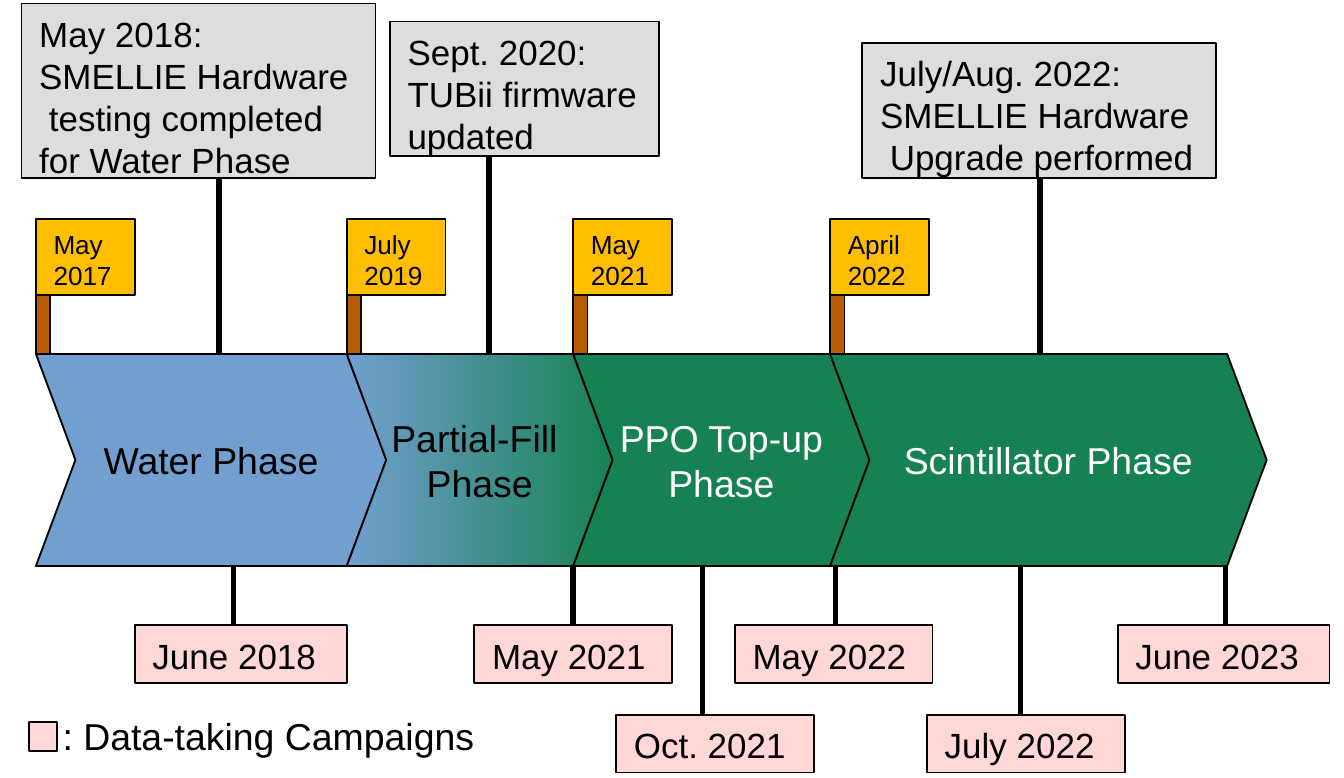
import pptx
import pptx.util
import pptx.dml.color
import pptx.enum.shapes
import pptx.enum.text
import pptx.oxml

Inches, Pt = pptx.util.Inches, pptx.util.Pt
SHAPE = pptx.enum.shapes.MSO_SHAPE
ANCHOR = pptx.enum.text.MSO_ANCHOR
ALIGN = pptx.enum.text.PP_ALIGN

COLORS = {
    "water": "729FCF", "scint": "168253", "flag": "FFBF00", "pole": "B85C00",
    "event": "DDDDDD", "campaign": "FFD7D7", "black": "000000", "white": "FFFFFF",
}

# name, start, fill colours (two make a gradient), text colour, flag date
PHASES = [
    ("Water Phase", 0.2, ["water"], "black", "May 2017"),
    ("Partial-Fill \vPhase", 1.93, ["water", "scint"], "black", "July 2019"),
    ("PPO Top-up Phase", 3.19, ["scint"], "white", "May 2021"),
    ("Scintillator Phase", 4.62, ["scint"], "white", "April 2022"),
]
# text, left, top, width, height, stem x
EVENTS = [
    ("May 2018:\vSMELLIE Hardware\v testing completed\vfor Water Phase",
     0.12, 0.02, 1.97, 0.97, 1.22),
    ("Sept. 2020:\vTUBii firmware\vupdated", 2.17, 0.12, 1.5, 0.75, 2.72),
    ("July/Aug. 2022:\vSMELLIE Hardware\v Upgrade performed",
     4.8, 0.24, 1.97, 0.75, 5.79),
]
# text, left, row, width, stem x
CAMPAIGNS = [
    ("June 2018", 0.75, 0, 1.18, 1.3),
    ("May 2021", 2.64, 0, 1.1, 3.19),
    ("Oct. 2021", 3.43, 1, 1.1, 3.91),
    ("May 2022", 4.09, 0, 1.1, 4.65),
    ("July 2022", 5.16, 1, 1.1, 5.68),
    ("June 2023", 6.22, 0, 1.18, 6.82),
]
LEGEND = ": Data-taking Campaigns"

BAND_TOP, BAND_HEIGHT, BAND_END, NOTCH = 1.97, 1.18, 7.05, 0.22
BAND_BOTTOM = BAND_TOP + BAND_HEIGHT
FLAG_WIDTH, FLAG_HEIGHT, POLE_WIDTH, POLE_HEIGHT = 0.55, 0.42, 0.08, 0.33
CAMPAIGN_TOPS, CAMPAIGN_HEIGHT = (3.48, 3.98), 0.32


def rgb(name):
    return pptx.dml.color.RGBColor.from_string(COLORS[name])


def write(s, text, size, color="black", align=ALIGN.LEFT, anchor=ANCHOR.TOP):
    tf = s.text_frame
    tf.word_wrap = True
    tf.vertical_anchor = anchor
    p = tf.paragraphs[0]
    p.text = text
    p.alignment = align
    p.font.name = "Arial"
    p.font.size = Pt(size)
    p.font.color.rgb = rgb(color)


def add_box(slide, left, top, width, height, fill, kind=SHAPE.RECTANGLE):
    """Add a filled shape with a hairline outline and no shadow."""
    s = slide.shapes.add_shape(kind, Inches(left), Inches(top), Inches(width), Inches(height))
    s.shadow.inherit = False
    s.fill.solid()
    s.fill.fore_color.rgb = rgb(fill)
    s.line.color.rgb = rgb("black")
    s.line.width = Pt(0)
    return s


def add_stem(slide, x, top, bottom):
    line = slide.shapes.add_connector(
        pptx.enum.shapes.MSO_CONNECTOR.STRAIGHT,
        Inches(x), Inches(top), Inches(x), Inches(bottom))
    line.line.color.rgb = rgb("black")
    line.line.width = Pt(2.3)
    line._element.spPr.append(pptx.oxml.parse_xml(
        '<a:effectLst xmlns:a="http://schemas.openxmlformats.org/drawingml/2006/main"/>'))


def add_phase(slide, name, start, end, fills, color):
    s = add_box(slide, start, BAND_TOP, end - start, BAND_HEIGHT, fills[0], SHAPE.CHEVRON)
    s.adjustments[0] = NOTCH / BAND_HEIGHT
    if len(fills) > 1:
        s.fill.gradient()
        s.fill.gradient_angle = 0
        for stop, fill in zip(s.fill.gradient_stops, fills):
            stop.color.rgb = rgb(fill)
    s.text_frame.margin_left = s.text_frame.margin_right = 0
    write(s, name, 15, color, ALIGN.CENTER, ANCHOR.MIDDLE)


def add_flag(slide, left, date):
    pole_top = BAND_TOP - POLE_HEIGHT
    flag = add_box(slide, left, pole_top - FLAG_HEIGHT, FLAG_WIDTH, FLAG_HEIGHT, "flag")
    write(flag, date, 10.5)
    add_box(slide, left, pole_top, POLE_WIDTH, POLE_HEIGHT, "pole")


def main():
    prs = pptx.Presentation()
    prs.slide_width, prs.slide_height = Inches(7.48), Inches(4.33)
    slide = prs.slides.add_slide(prs.slide_layouts[6])

    ends = [phase[1] + NOTCH for phase in PHASES[1:]] + [BAND_END]
    for (name, start, fills, color, date), end in zip(PHASES, ends):
        add_phase(slide, name, start, end, fills, color)
        add_flag(slide, start, date)

    for text, left, top, width, height, x in EVENTS:
        write(add_box(slide, left, top, width, height, "event"), text, 14)
        add_stem(slide, x, top + height, BAND_TOP)

    for text, left, row, width, x in CAMPAIGNS:
        top = CAMPAIGN_TOPS[row]
        write(add_box(slide, left, top, width, CAMPAIGN_HEIGHT, "campaign"), text, 14)
        add_stem(slide, x, BAND_BOTTOM, top)

    add_box(slide, 0.16, 4.02, 0.16, 0.16, "campaign")
    legend = slide.shapes.add_textbox(Inches(0.25), Inches(3.92), Inches(2.6), Inches(0.33))
    write(legend, LEGEND, 15)

    prs.save("out.pptx")


if __name__ == "__main__":
    main()
